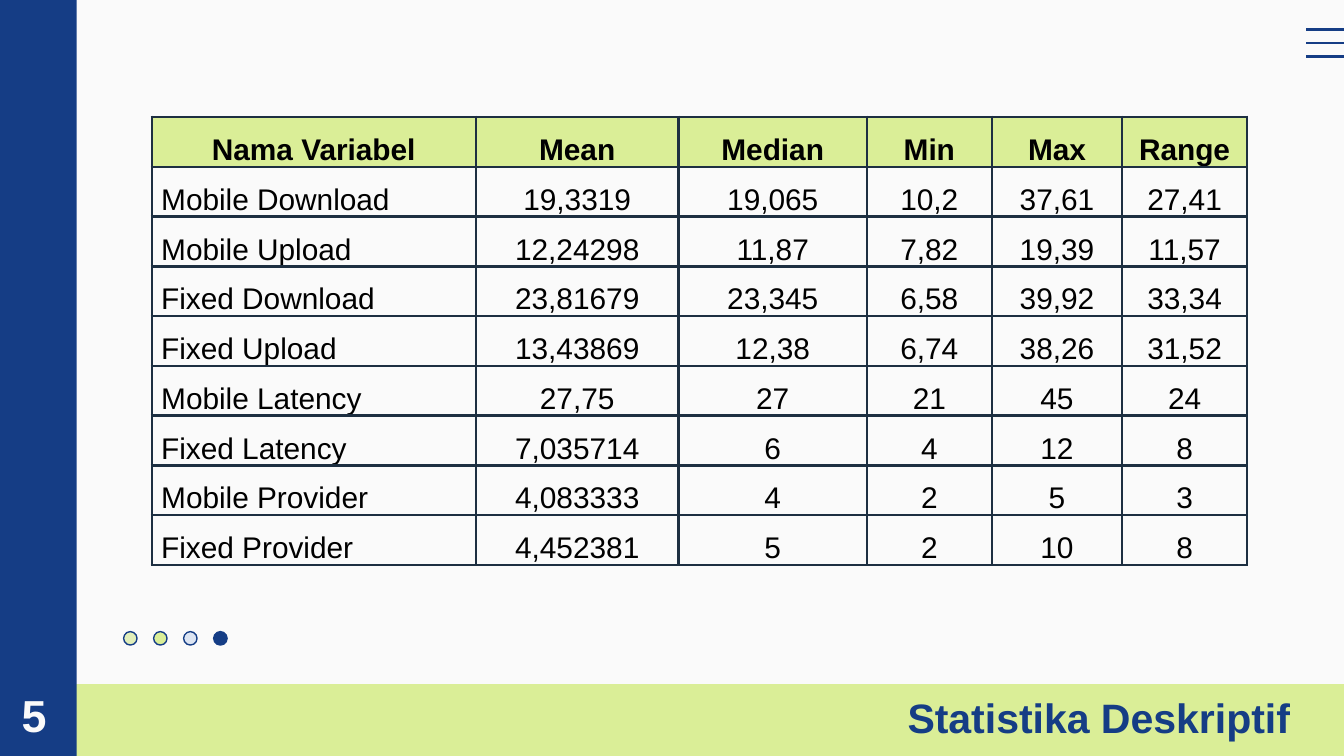
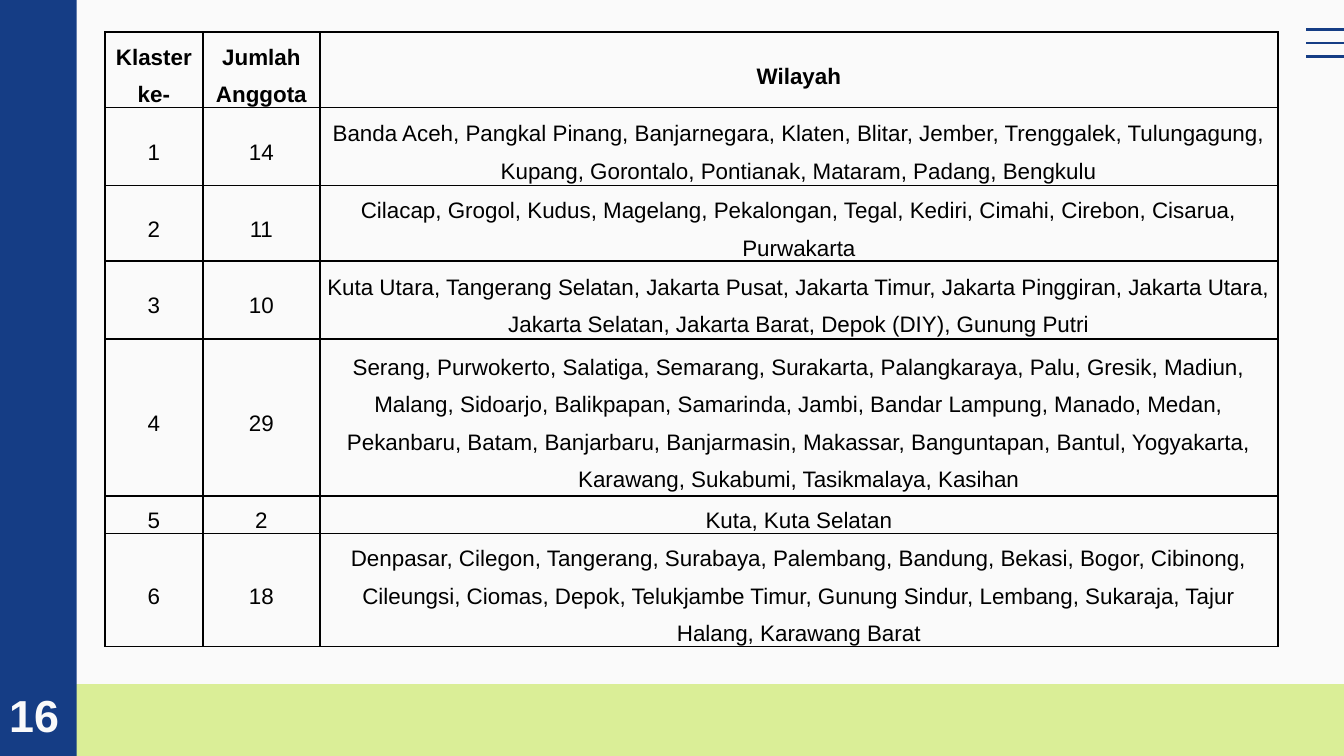
import dataclasses
import typing

import lxml.etree
import pptx
import pptx.dml.color
import pptx.enum.shapes
import pptx.enum.text
import pptx.oxml.ns
import pptx.slide
import pptx.util

Inches = pptx.util.Inches
Pt = pptx.util.Pt
Shape = pptx.enum.shapes.MSO_SHAPE
Align = pptx.enum.text.PP_ALIGN
Anchor = pptx.enum.text.MSO_ANCHOR
AutoSize = pptx.enum.text.MSO_AUTO_SIZE
qn = pptx.oxml.ns.qn

SLIDE_WIDTH = Inches(10)
SLIDE_HEIGHT = SLIDE_WIDTH * 9 // 16
COLORS = {
    "paper": "FAFAFA",
    "navy": "153D85",
    "lime": "DAEE97",
    "pale lime": "E1EEB9",
    "pale blue": "DCE4F2",
    "table ink": "1D2F41",
    "black": "000000",
}
FONT = "Arial"


@dataclasses.dataclass(frozen=True)
class Block:
    kind: typing.Any
    left: float
    top: float
    width: float
    height: float
    fill: str
    outline: str = ""


@dataclasses.dataclass(frozen=True)
class TableSpec:
    left: float
    top: float
    widths: list[float]
    heights: list[float]
    size: float
    side_margin: float
    border: str
    border_width: float
    header_fill: str = ""
    labels_left: bool = False


# Shared band and sidebar
FRAME = [
    Block(Shape.RECTANGLE, 0.56, 5.09, 9.44, 0.54, "lime"),
    Block(Shape.RECTANGLE, -0.03, -0.07, 0.6, 5.7, "navy"),
]
DOTS = [
    Block(Shape.OVAL, 0.92 + 0.67 * index / 3, 4.7, 0.1, 0.1, fill, "navy")
    for index, fill in enumerate(["pale lime", "lime", "pale blue", "navy"])
]

STATISTICS_TABLE = TableSpec(
    1.13, 0.87, [2.41, 1.51, 1.4, 0.93, 0.97, 0.93], [0.36] * 9,
    16, 0.07, "table ink", 1.5, "lime", True,
)
STATISTICS = [
    ["Nama Variabel", "Mean", "Median", "Min", "Max", "Range"],
    ["Mobile Download", "19,3319", "19,065", "10,2", "37,61", "27,41"],
    ["Mobile Upload", "12,24298", "11,87", "7,82", "19,39", "11,57"],
    ["Fixed Download", "23,81679", "23,345", "6,58", "39,92", "33,34"],
    ["Fixed Upload", "13,43869", "12,38", "6,74", "38,26", "31,52"],
    ["Mobile Latency", "27,75", "27", "21", "45", "24"],
    ["Fixed Latency", "7,035714", "6", "4", "12", "8"],
    ["Mobile Provider", "4,083333", "4", "2", "5", "3"],
    ["Fixed Provider", "4,452381", "5", "2", "10", "8"],
]

CLUSTER_TABLE = TableSpec(
    0.78, 0.24, [0.73, 0.87, 7.13], [0.56, 0.58, 0.56, 0.58, 1.17, 0.28, 0.84],
    12, 0.04, "black", 1,
)
CLUSTERS = [
    ["Klaster ke-", "Jumlah Anggota", "Wilayah"],
    ["1", "14", "Banda Aceh, Pangkal Pinang, Banjarnegara, Klaten, Blitar, Jember, "
     "Trenggalek, Tulungagung, Kupang, Gorontalo, Pontianak, Mataram, Padang, Bengkulu"],
    ["2", "11", "Cilacap, Grogol, Kudus, Magelang, Pekalongan, Tegal, Kediri, Cimahi, "
     "Cirebon, Cisarua, Purwakarta"],
    ["3", "10", "Kuta Utara, Tangerang Selatan, Jakarta Pusat, Jakarta Timur, "
     "Jakarta Pinggiran, Jakarta Utara, Jakarta Selatan, Jakarta Barat, Depok (DIY), "
     "Gunung Putri"],
    ["4", "29", "Serang, Purwokerto, Salatiga, Semarang, Surakarta, Palangkaraya, Palu, "
     "Gresik, Madiun, Malang, Sidoarjo, Balikpapan, Samarinda, Jambi, Bandar Lampung, "
     "Manado, Medan, Pekanbaru, Batam, Banjarbaru, Banjarmasin, Makassar, Banguntapan, "
     "Bantul, Yogyakarta, Karawang, Sukabumi, Tasikmalaya, Kasihan"],
    ["5", "2", "Kuta, Kuta Selatan"],
    ["6", "18", "Denpasar, Cilegon, Tangerang, Surabaya, Palembang, Bandung, Bekasi, "
     "Bogor, Cibinong, Cileungsi, Ciomas, Depok, Telukjambe Timur, Gunung Sindur, "
     "Lembang, Sukaraja, Tajur Halang, Karawang Barat"],
]


def rgb(name: str) -> pptx.dml.color.RGBColor:
    return pptx.dml.color.RGBColor.from_string(COLORS[name])


def apply_format(target: typing.Any, values: dict[str, typing.Any]) -> None:
    for name, value in values.items():
        setattr(target, name, value)


def write_text(paragraph: typing.Any, text: str, size: float, color: str, bold: bool) -> None:
    run = paragraph.add_run()
    run.text = text
    apply_format(run.font, {"name": FONT, "size": Pt(size), "bold": bold})
    run.font.color.rgb = rgb(color)


def draw_block(shapes: typing.Any, block: Block) -> None:
    shape = shapes.add_shape(
        block.kind, Inches(block.left), Inches(block.top),
        Inches(block.width), Inches(block.height),
    )
    shape.shadow.inherit = False
    shape.fill.solid()
    shape.fill.fore_color.rgb = rgb(block.fill)
    if block.outline:
        shape.line.color.rgb = rgb(block.outline)
        shape.line.width = Pt(0.75)
    else:
        shape.line.fill.background()


def draw_frame(slide: pptx.slide.Slide) -> None:
    for block in FRAME:
        draw_block(slide.shapes, block)
    menu = slide.shapes.add_group_shape()
    for index in range(3):
        height = Inches(0.22 + 0.1 * index)
        connector = menu.shapes.add_connector(
            pptx.enum.shapes.MSO_CONNECTOR.STRAIGHT,
            Inches(9.72), height, Inches(10.08), height,
        )
        connector.line.color.rgb = rgb("navy")
        connector.line.width = Pt(1.5)
        lxml.etree.SubElement(connector.element.spPr, qn("a:effectLst"))


def draw_title(slide: pptx.slide.Slide, text: str) -> None:
    title = slide.shapes.title
    slide.shapes.element.append(title.element)  # bring in front of the band
    apply_format(title, {"left": Inches(5.41), "top": Inches(5.01),
                         "width": Inches(4.29), "height": Inches(0.61)})
    frame = title.text_frame
    margins = {f"margin_{side}": Inches(0.1) for side in ("left", "top", "right", "bottom")}
    apply_format(frame, {**margins, "word_wrap": True, "auto_size": AutoSize.NONE,
                         "vertical_anchor": Anchor.BOTTOM})
    frame.paragraphs[0].alignment = Align.RIGHT
    write_text(frame.paragraphs[0], text, 22, "navy", True)


def draw_page_number(slide: pptx.slide.Slide, number: int) -> None:
    box = slide.shapes.add_textbox(Inches(-0.03), Inches(5.07), Inches(0.77), Inches(0.5))
    apply_format(box.text_frame, {"word_wrap": True, "auto_size": AutoSize.SHAPE_TO_FIT_TEXT})
    write_text(box.text_frame.paragraphs[0], f"{number:>2}", 24, "paper", True)


def draw_borders(cell: typing.Any, color: str, width: float) -> None:
    properties = cell._tc.get_or_add_tcPr()
    for side in ("lnL", "lnR", "lnT", "lnB"):
        line = lxml.etree.SubElement(properties, qn(f"a:{side}"), w=str(Pt(width)))
        fill = lxml.etree.SubElement(line, qn("a:solidFill"))
        lxml.etree.SubElement(fill, qn("a:srgbClr"), val=COLORS[color])


def draw_table(slide: pptx.slide.Slide, table_spec: TableSpec, rows: list[list[str]]) -> None:
    table = slide.shapes.add_table(
        len(rows), len(rows[0]), Inches(table_spec.left), Inches(table_spec.top),
        Inches(sum(table_spec.widths)), Inches(sum(table_spec.heights)),
    ).table
    apply_format(table, {"first_row": False, "horz_banding": False})
    for column, width in zip(table.columns, table_spec.widths):
        column.width = Inches(width)
    for row, height in zip(table.rows, table_spec.heights):
        row.height = Inches(height)

    margin = Inches(table_spec.side_margin)
    cell_format = {"margin_left": margin, "margin_right": margin, "margin_top": 0,
                   "margin_bottom": 0, "vertical_anchor": Anchor.MIDDLE}
    for row_index, row_texts in enumerate(rows):
        is_header = row_index == 0
        for column_index, text in enumerate(row_texts):
            cell = table.cell(row_index, column_index)
            apply_format(cell, cell_format)
            draw_borders(cell, table_spec.border, table_spec.border_width)
            if is_header and table_spec.header_fill:
                cell.fill.solid()
                cell.fill.fore_color.rgb = rgb(table_spec.header_fill)
            else:
                cell.fill.background()
            is_label = table_spec.labels_left and column_index == 0 and not is_header
            paragraph = cell.text_frame.paragraphs[0]
            apply_format(paragraph, {"alignment": Align.LEFT if is_label else Align.CENTER,
                                     "line_spacing": 1.5, "space_after": Pt(8)})
            write_text(paragraph, text, table_spec.size, "black", is_header)


def main() -> None:
    presentation = pptx.Presentation()
    apply_format(presentation, {"slide_width": SLIDE_WIDTH, "slide_height": SLIDE_HEIGHT})
    background = presentation.slide_master.background.fill
    background.solid()
    background.fore_color.rgb = rgb("paper")
    title_only, blank = presentation.slide_layouts[5], presentation.slide_layouts[6]

    # Descriptive statistics
    slide = presentation.slides.add_slide(title_only)
    draw_frame(slide)
    draw_title(slide, "Statistika Deskriptif")
    dots = slide.shapes.add_group_shape()
    for dot in DOTS:
        draw_block(dots.shapes, dot)
    draw_table(slide, STATISTICS_TABLE, STATISTICS)
    draw_page_number(slide, 5)

    # Cluster members
    slide = presentation.slides.add_slide(blank)
    draw_frame(slide)
    draw_table(slide, CLUSTER_TABLE, CLUSTERS)
    draw_page_number(slide, 16)

    presentation.save("out.pptx")


if __name__ == "__main__":
    main()
